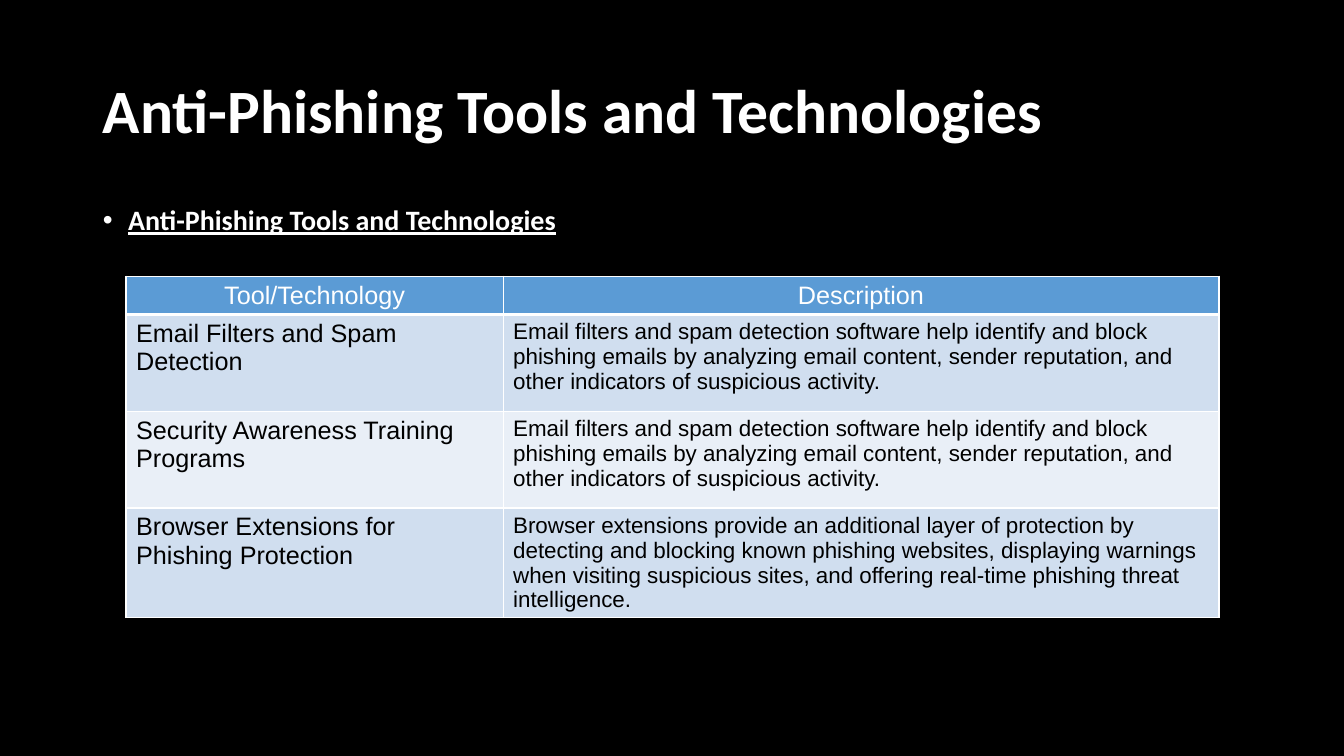
"""Build a dark slide with a table of anti-phishing tools."""
import pptx
import pptx.util
import pptx.dml.color
import pptx.enum.text
import pptx.oxml
import pptx.oxml.ns

Inches, Pt = pptx.util.Inches, pptx.util.Pt
RGB = pptx.dml.color.RGBColor.from_string
ALIGN = pptx.enum.text.PP_ALIGN
ANCHOR = pptx.enum.text.MSO_ANCHOR

THEME = {
    "back": "000000", "light": "FFFFFF", "dark": "000000",
    "head": "5B9BD5", "bands": ["D0DEEF", "E9EFF7"],
    "title": 44, "list": 20, "label": 18, "note": 16,
    "main": "Calibri", "grid": "Arial",
}


def write(frame, text, size, color, font, bold=False, line=False,
          align=ALIGN.LEFT, space=1.0):
    """Put formatted text in the first paragraph of a frame."""
    para = frame.paragraphs[0]
    para.alignment = align
    para.line_spacing = space
    para.space_before = Pt(0)
    run = para.add_run()
    run.text = text
    run.font.size = Pt(size)
    run.font.name = font
    run.font.bold = bold
    run.font.underline = line
    run.font.color.rgb = RGB(color)
    return para


def edge(cell, side, width):
    """Draw one border of a cell."""
    cell._tc.get_or_add_tcPr().append(pptx.oxml.parse_xml(
        f'<a:ln{side} {pptx.oxml.ns.nsdecls("a")} w="{Pt(width)}"><a:solidFill>'
        f'<a:srgbClr val="{THEME["light"]}"/></a:solidFill></a:ln{side}>'))


deck = pptx.Presentation()
deck.slide_width, deck.slide_height = Inches(13.33), Inches(7.5)
slide = deck.slides.add_slide(deck.slide_layouts[1])
slide.background.fill.solid()
slide.background.fill.fore_color.rgb = RGB(THEME["back"])

title, body = slide.placeholders
for box, top, height in [(title, 0.4, 1.45), (body, 2, 4.76)]:
    box.left, box.top = Inches(0.92), Inches(top)
    box.width, box.height = Inches(11.5), Inches(height)
    box.text_frame.auto_size = pptx.enum.text.MSO_AUTO_SIZE.NONE
title.text_frame.vertical_anchor = ANCHOR.MIDDLE
body.text_frame.vertical_anchor = ANCHOR.TOP

topic = "Anti-Phishing Tools and Technologies"
write(title.text_frame, topic, THEME["title"], THEME["light"], THEME["main"],
      bold=True, space=0.9)
item = write(body.text_frame, topic, THEME["list"], THEME["light"],
             THEME["main"], bold=True, line=True, space=0.9)
props = item._p.get_or_add_pPr()
props.set("marL", str(Inches(0.25)))
props.set("indent", str(-Inches(0.25)))
for mark in (f'buClr {{}}><a:srgbClr val="{THEME["light"]}"/></a:buClr>',
             'buFont {} typeface="Arial"/>', 'buChar {} char="•"/>'):
    props.append(pptx.oxml.parse_xml(
        "<a:" + mark.format(pptx.oxml.ns.nsdecls("a"))))

filters = ("Email filters and spam detection software help identify and block "
           "phishing emails by analyzing email content, sender reputation, "
           "and other indicators of suspicious activity.")
rows = [
    ("Tool/Technology", "Description"),
    ("Email Filters and Spam Detection", filters),
    ("Security Awareness Training Programs", filters),
    ("Browser Extensions for Phishing Protection",
     "Browser extensions provide an additional layer of protection by "
     "detecting and blocking known phishing websites, displaying warnings "
     "when visiting suspicious sites, and offering real-time phishing threat "
     "intelligence."),
]
widths, heights = [3.74, 7.1], [0.36] + [0.96] * 3
table = slide.shapes.add_table(
    len(rows), len(widths), Inches(1.25), Inches(2.74),
    Inches(sum(widths)), Inches(sum(heights))).table
for col, width in zip(table.columns, widths):
    col.width = Inches(width)

for r, texts in enumerate(rows):
    table.rows[r].height = Inches(heights[r])
    head = r == 0
    for c, text in enumerate(texts):
        cell = table.cell(r, c)
        for side in "LRTB":
            thick = (head and side == "B") or (r == 1 and side == "T")
            edge(cell, side, 3 if thick else 1)
        cell.fill.solid()
        cell.fill.fore_color.rgb = RGB(
            THEME["head"] if head else THEME["bands"][(r - 1) % 2])
        write(cell.text_frame, text,
              THEME["label"] if head or c == 0 else THEME["note"],
              THEME["light"] if head else THEME["dark"], THEME["grid"],
              align=ALIGN.CENTER if head else ALIGN.LEFT)

deck.save("out.pptx")
